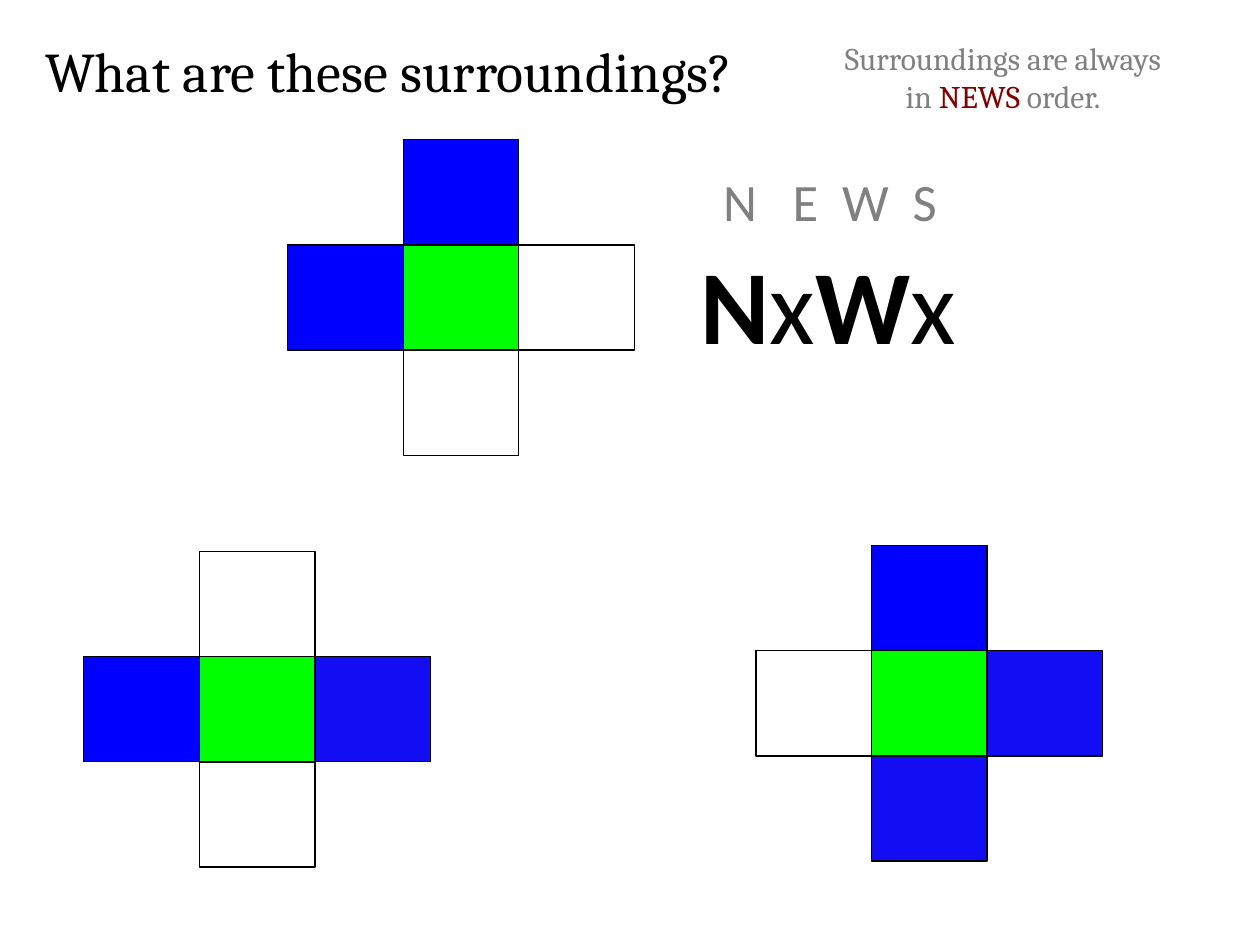
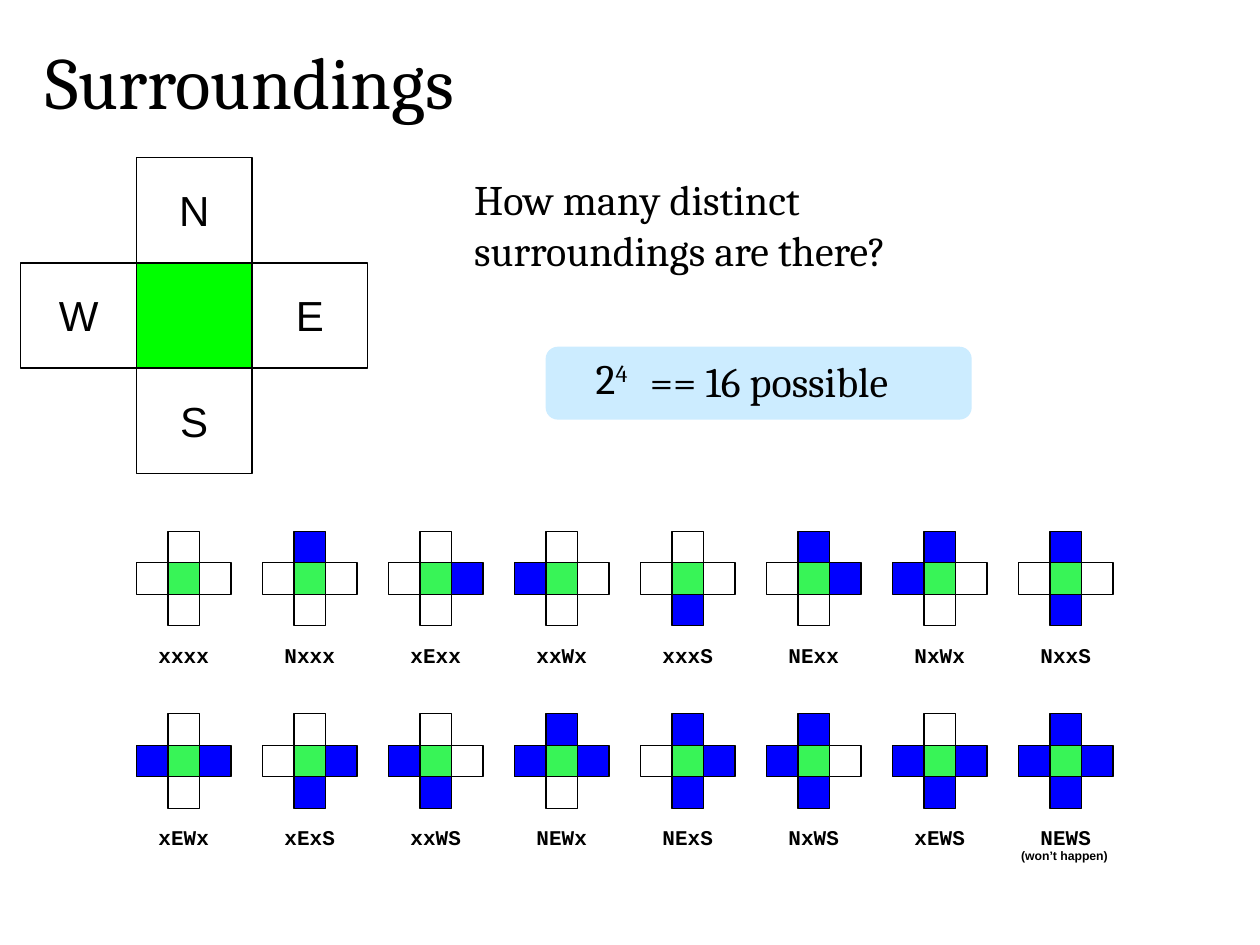
from pptx import Presentation
from pptx.dml.color import RGBColor
from pptx.enum.shapes import MSO_SHAPE
from pptx.enum.text import MSO_AUTO_SIZE, PP_ALIGN
from pptx.util import Cm, Pt

RECT, ROUND_RECT = MSO_SHAPE.RECTANGLE, MSO_SHAPE.ROUNDED_RECTANGLE
LEFT, CENTER = PP_ALIGN.LEFT, PP_ALIGN.CENTER
GROW = MSO_AUTO_SIZE.SHAPE_TO_FIT_TEXT

BLACK = RGBColor(0x00, 0x00, 0x00)
WHITE = RGBColor(0xFF, 0xFF, 0xFF)
GRAY = RGBColor(0x80, 0x80, 0x80)
MAROON = RGBColor(0x80, 0x00, 0x00)
BLUE = RGBColor(0x00, 0x00, 0xFF)
DEEP_BLUE = RGBColor(0x12, 0x0D, 0xF3)
GREEN = RGBColor(0x00, 0xFF, 0x00)
SOFT_GREEN = RGBColor(0x38, 0xF4, 0x57)
PALE_BLUE = RGBColor(0xCC, 0xEC, 0xFF)

SERIF = {"name": "Cambria", "color": BLACK, "size": 24}
SANS = {"name": "Calibri", "color": BLACK, "size": 60}
LETTER = {"name": "Arial", "color": BLACK, "size": 24}
CODE = {"name": "Courier New", "color": BLACK, "size": 12, "bold": True}
FOOTNOTE = {"name": "Arial", "color": BLACK, "size": 7, "bold": True}

SIDES = {"N": (1, 0), "E": (2, 1), "W": (0, 1), "S": (1, 2)}
LARGE_CELL = (2.33, 2.12)
LARGE_WALLS = {"N": BLUE, "E": DEEP_BLUE, "W": BLUE, "S": DEEP_BLUE}
SMALL_WALLS = dict.fromkeys(SIDES, BLUE)
PITCH = 2.54
ROW_PITCH = 3.68
CODES = [
    ["xxxx", "Nxxx", "xExx", "xxWx", "xxxS", "NExx", "NxWx", "NxxS"],
    ["xEWx", "xExS", "xxWS", "NEWx", "NExS", "NxWS", "xEWS", "NEWS"],
]


def add_text(slide, box, runs, style, align=LEFT, wrap=True):
    frame = slide.shapes.add_textbox(*map(Cm, box)).text_frame
    frame.word_wrap = wrap
    frame.auto_size = GROW
    paragraph = frame.paragraphs[0]
    paragraph.alignment = align
    for words, changes in runs:
        run = paragraph.add_run()
        run.text = words
        for key, value in {**style, **changes}.items():
            if key == "color":
                run.font.color.rgb = value
            elif key == "size":
                run.font.size = Pt(value)
            elif key in ("baseline", "spc"):
                run.font._element.set(key, str(value))
            else:
                setattr(run.font, key, value)


def add_block(slide, kind, box, fill, outlined=True):
    block = slide.shapes.add_shape(kind, *map(Cm, box))
    block.shadow.inherit = False
    block.fill.solid()
    block.fill.fore_color.rgb = fill
    if outlined:
        block.line.color.rgb = BLACK
        block.line.width = Pt(0.75)
    else:
        block.line.fill.background()


def add_title(slide, title, size, width):
    add_text(slide, (0.66, 0.61, width, 1.63), [(title, {})], {**SERIF, "size": size})


def add_cross(slide, left, top, cell, code, center, walls):
    width, height = cell
    add_block(slide, RECT, (left + width, top + height, width, height), center)
    for side, (column, row) in SIDES.items():
        box = (left + column * width, top + row * height, width, height)
        add_block(slide, RECT, box, walls[side] if side in code else WHITE)


def add_compass(slide, left, top):
    width, height = LARGE_CELL
    add_cross(slide, left, top, LARGE_CELL, "xxxx", GREEN, LARGE_WALLS)
    for side, (column, row) in SIDES.items():
        box = (left + column * width, top + row * height + 0.42, width, 1.27)
        add_text(slide, box, [(side, {})], LETTER, CENTER, wrap=False)


def add_answer(slide, left, top):
    add_block(slide, ROUND_RECT, (left, top, 8.59, 1.47), PALE_BLUE, outlined=False)
    add_text(slide, (left + 1.85, top + 0.05, 5.99, 1.27), [("== 16 possible", {})], SERIF, wrap=False)
    power = [("2", {}), ("4", {"baseline": 30000})]
    add_text(slide, (left + 0.76, top, 1.3, 1.27), power, SERIF, wrap=False)


def add_catalogue(slide, left, top):
    size = PITCH / 4
    for row, codes in enumerate(CODES):
        for column, code in enumerate(codes):
            x, y = left + column * PITCH, top + row * ROW_PITCH
            add_cross(slide, x, y, (size, size), code, SOFT_GREEN, SMALL_WALLS)
            add_text(slide, (x, y + 2.11, 3 * size, 0.76), [(code, {})], CODE, CENTER)
    note_box = (left + 7 * PITCH - 0.44, top + 6.27, 2.74, 0.56)
    add_text(slide, note_box, [("(won’t happen)", {})], FOOTNOTE, CENTER)


def build_question(slide):
    add_title(slide, "What are these surroundings?", 32, 17.96)
    for left, top, code in [(5.8, 2.82, "NxWx"), (1.69, 11.12, "xEWx"), (15.24, 11, "NExS")]:
        add_cross(slide, left, top, LARGE_CELL, code, GREEN, LARGE_WALLS)
    answer = [(letter, {"bold": letter in SIDES}) for letter in "NxWx"]
    add_text(slide, (13.84, 4.7, 5.72, 2.79), answer, SANS, CENTER)
    heading = [("N", {}), (" ", {"spc": 1360}), ("E", {}), (" ", {"spc": 680}),
               ("W", {}), (" ", {"spc": 680}), ("S", {})]
    add_text(slide, (13.87, 3.28, 5.72, 1.52), heading, {**SANS, "size": 30, "color": GRAY}, CENTER)
    reminder = [("Surroundings are always in ", {}), ("NEWS ", {"color": MAROON}), ("order.", {})]
    add_text(slide, (16.64, 0.66, 7.16, 1.78), reminder, {**SERIF, "size": 18, "color": GRAY}, CENTER)


def build_count(slide):
    add_title(slide, "Surroundings", 42, 10.13)
    add_compass(slide, 0.42, 3.18)
    question = [("How many distinct surroundings are there?", {})]
    add_text(slide, (9.31, 3.38, 11.86, 2.31), question, SERIF)
    add_answer(slide, 11, 6.99)
    add_catalogue(slide, 2.75, 10.71)


def main():
    deck = Presentation()
    deck.slide_width, deck.slide_height = Cm(25.4), Cm(19.05)
    for build in (build_question, build_count):
        build(deck.slides.add_slide(deck.slide_layouts[6]))
    deck.save("out.pptx")


if __name__ == "__main__":
    main()
